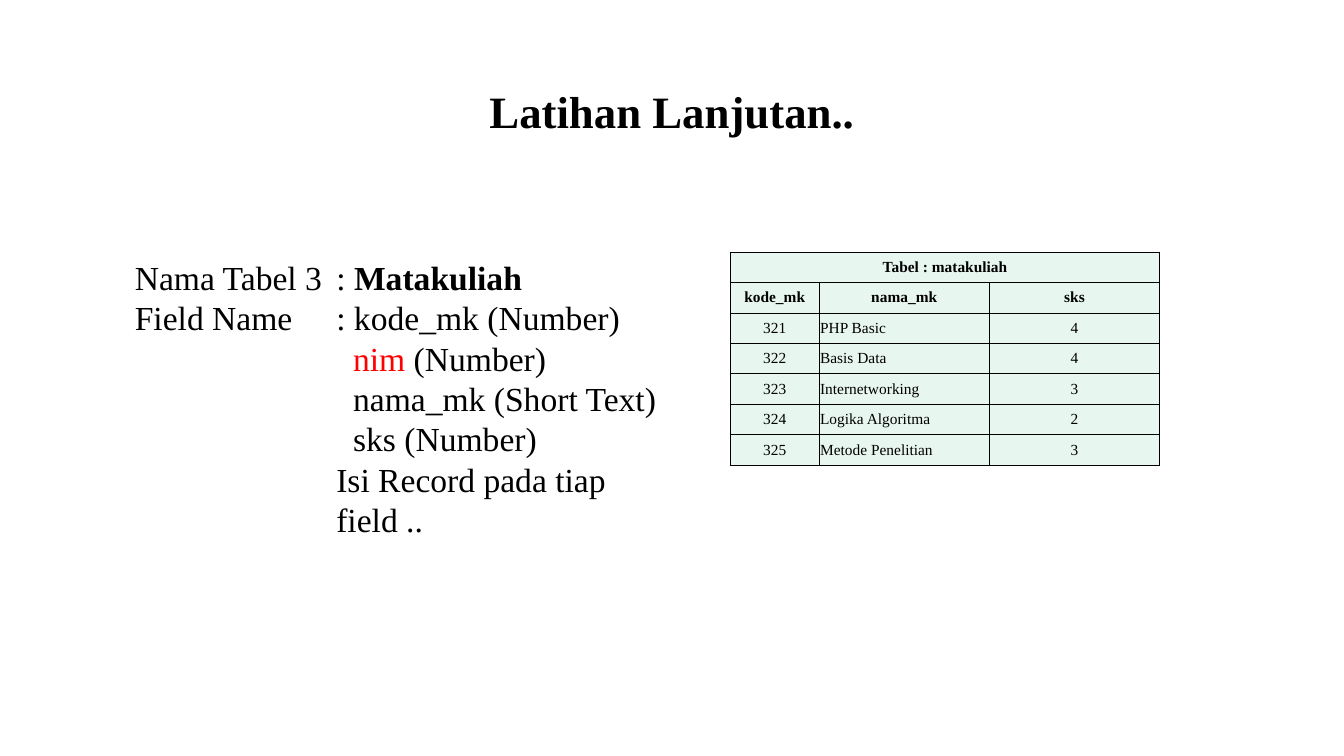
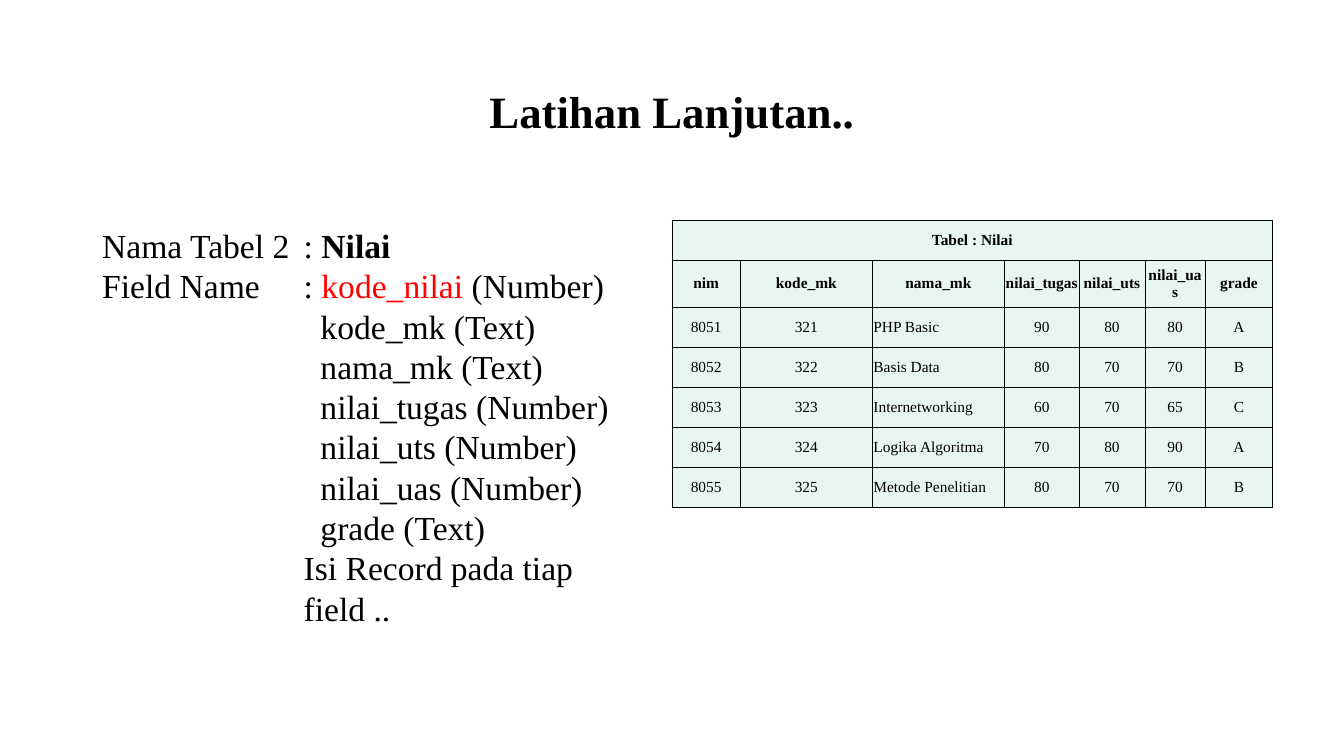
from dataclasses import dataclass

from lxml.etree import SubElement
from pptx import Presentation
from pptx.dml.color import RGBColor
from pptx.enum.text import MSO_ANCHOR, MSO_AUTO_SIZE, PP_ALIGN
from pptx.oxml.ns import qn
from pptx.util import Pt


# Colours, font and type sizes
@dataclass(frozen=True)
class Theme:
    font: str = "Times New Roman"
    ink: str = "000000"
    key: str = "FF0000"
    mint: str = "E7F6EF"
    head: float = 32
    body: float = 24
    cell: float = 11
    rule: float = 0.45


THEME = Theme()
TAB = 144    # where the colons line up
FIELD = 156  # where the field names line up

COURSES = [
    ("321", "PHP Basic", "4"),
    ("322", "Basis Data", "4"),
    ("323", "Internetworking", "3"),
    ("324", "Logika Algoritma", "2"),
    ("325", "Metode Penelitian", "3"),
]
MARKS = [
    ("90", "80", "80", "A"),
    ("80", "70", "70", "B"),
    ("60", "70", "65", "C"),
    ("70", "80", "90", "A"),
    ("80", "70", "70", "B"),
]


def write(para, text, size=THEME.body, color=THEME.ink, bold=False):
    """Add one formatted run to a paragraph."""
    run = para.add_run()
    run.text = text
    font = run.font
    font.name, font.size, font.bold = THEME.font, Pt(size), bold
    font.color.rgb = RGBColor.from_string(color)


class Deck:
    def __init__(self, theme):
        self.theme = theme
        self.show = Presentation()
        self.show.slide_width, self.show.slide_height = Pt(960.48), Pt(540)
        self.slide = None

    def page(self):
        self.slide = self.show.slides.add_slide(self.show.slide_layouts[6])

    def box(self, *rect):
        frame = self.slide.shapes.add_textbox(*map(Pt, rect)).text_frame
        frame.word_wrap = True
        frame.auto_size = MSO_AUTO_SIZE.SHAPE_TO_FIT_TEXT
        return frame

    def title(self, text):
        para = self.box(240.5, 56, 479.5, 46).paragraphs[0]
        para.alignment = PP_ALIGN.CENTER
        write(para, text, size=self.theme.head, bold=True)

    # Outline of a table: its name, its fields, then the closing line
    def outline(self, left, top, high, label, name, fields, key):
        frame = self.box(left, top, 390, high)
        para = frame.paragraphs[0]
        self.tab(para)
        write(para, f"{label}\t: ")
        write(para, name, bold=True)
        for i, (field, kind) in enumerate(fields):
            para = frame.add_paragraph()
            if i == 0:
                self.tab(para)
                write(para, "Field Name\t: ")
            else:
                self.indent(para, FIELD)
            tint = self.theme.key if field == key else self.theme.ink
            write(para, field, color=tint)
            write(para, f" ({kind})")
        para = frame.add_paragraph()
        self.indent(para, TAB)
        write(para, "Isi Record pada tiap field ..")

    def indent(self, para, left):
        props = para._p.get_or_add_pPr()
        props.set("marL", str(Pt(left)))
        props.set("indent", "0")

    def tab(self, para):
        stops = SubElement(para._p.get_or_add_pPr(), qn("a:tabLst"))
        SubElement(stops, qn("a:tab"), pos=str(Pt(TAB)), algn="l")

    # Data grid: a merged caption, a bold header, then the records
    def grid(self, left, top, cols, highs, caption, heads, rows):
        data = [[caption] + [""] * (len(cols) - 1), heads, *rows]
        table = self.slide.shapes.add_table(
            len(data), len(cols), Pt(left), Pt(top),
            Pt(sum(cols)), Pt(sum(highs))).table
        table.first_row = table.horz_banding = False
        for col, wide in zip(table.columns, cols):
            col.width = Pt(wide)
        for row, high in zip(table.rows, highs):
            row.height = Pt(high)
        table.cell(0, 0).merge(table.cell(0, len(cols) - 1))
        name = heads.index("nama_mk")
        for r, line in enumerate(data):
            for c, text in enumerate(line):
                self.cell(table.cell(r, c), text, bold=r < 2,
                          left=r > 1 and c == name)

    def cell(self, cell, text, bold, left):
        self.edge(cell)
        cell.fill.solid()
        cell.fill.fore_color.rgb = RGBColor.from_string(self.theme.mint)
        cell.margin_left = cell.margin_right = Pt(0.72)
        cell.vertical_anchor = MSO_ANCHOR.MIDDLE
        if text:
            para = cell.text_frame.paragraphs[0]
            para.alignment = PP_ALIGN.LEFT if left else PP_ALIGN.CENTER
            write(para, text, size=self.theme.cell, bold=bold)

    def edge(self, cell):
        props = cell._tc.get_or_add_tcPr()
        for side in "LRTB":
            line = SubElement(props, qn(f"a:ln{side}"),
                              w=str(Pt(self.theme.rule)))
            fill = SubElement(line, qn("a:solidFill"))
            SubElement(fill, qn("a:srgbClr"), val=self.theme.ink)


def main():
    deck = Deck(THEME)

    # Slide 1: courses
    deck.page()
    deck.outline(89.3, 180, 209, "Nama Tabel 3", "Matakuliah", [
        ("kode_mk", "Number"), ("nim", "Number"),
        ("nama_mk", "Short Text"), ("sks", "Number"),
    ], key="nim")
    deck.title("Latihan Lanjutan..")
    deck.grid(522, 180, [63.4, 121.7, 121.7], [21.75] * 7,
              "Tabel : matakuliah", ["kode_mk", "nama_mk", "sks"], COURSES)

    # Slide 2: marks
    deck.page()
    deck.outline(66, 157, 295, "Nama Tabel 2", "Nilai", [
        ("kode_nilai", "Number"), ("kode_mk", "Text"), ("nama_mk", "Text"),
        ("nilai_tugas", "Number"), ("nilai_uts", "Number"),
        ("nilai_uas", "Number"), ("grade", "Text"),
    ], key="kode_nilai")
    deck.title("Latihan Lanjutan..")
    rows = [(str(8051 + i), *course[:2], *marks)
            for i, (course, marks) in enumerate(zip(COURSES, MARKS))]
    deck.grid(480.3, 157, [48.8, 94.4, 94.4, 53.3, 47, 43.2, 48.2],
              [28.6, 33.5] + [28.6] * 5, "Tabel : Nilai",
              ["nim", "kode_mk", "nama_mk", "nilai_tugas", "nilai_uts",
               "nilai_uas", "grade"], rows)

    deck.show.save("out.pptx")


if __name__ == "__main__":
    main()
